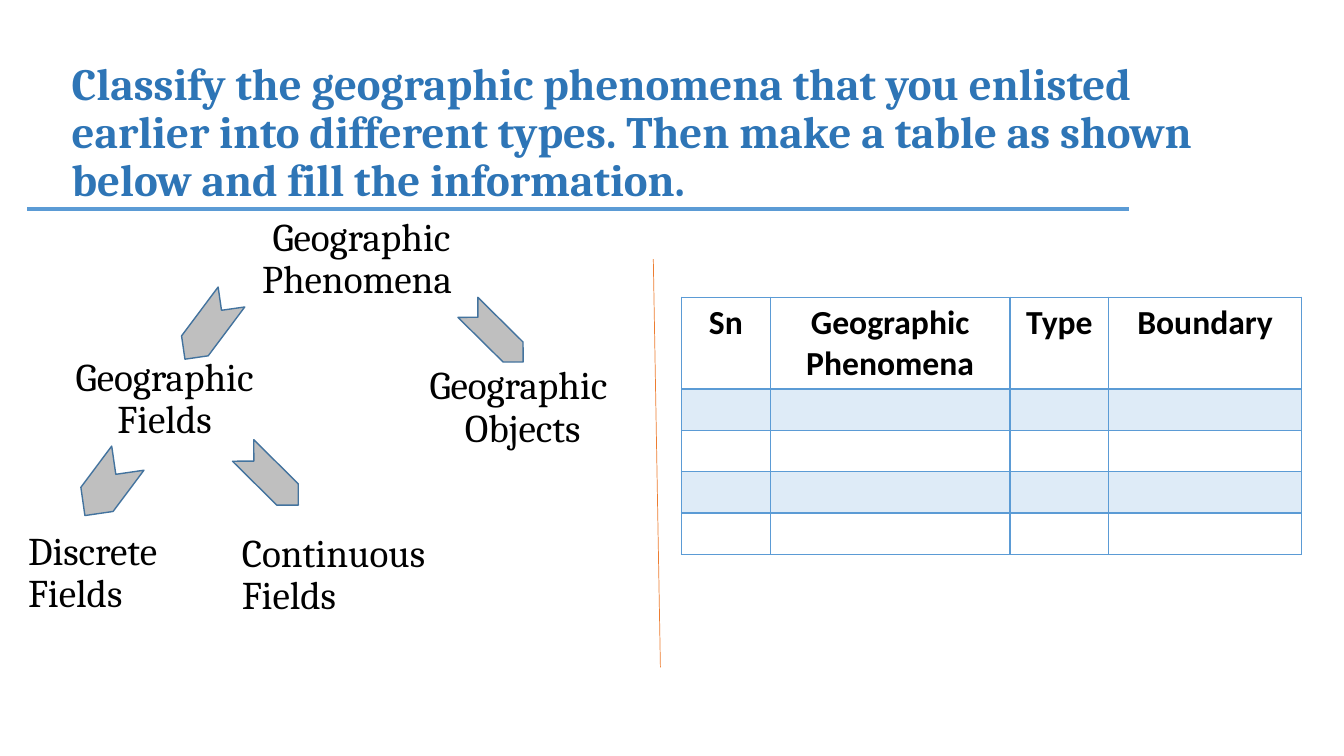
from lxml import etree
from pptx import Presentation
from pptx.dml.color import RGBColor
from pptx.enum.shapes import MSO_CONNECTOR, MSO_SHAPE
from pptx.enum.text import MSO_ANCHOR, MSO_AUTO_SIZE, PP_ALIGN
from pptx.oxml.ns import qn
from pptx.util import Inches, Pt

THEME = {
    "title": {"name": "Cambria", "size": Pt(32), "bold": True, "color": "2E75B6"},
    "tree": {"name": "Cambria", "size": Pt(28), "bold": False, "color": "000000"},
    "header": {"name": "Calibri", "size": Pt(24), "bold": True, "color": "000000"},
    "rule": "5B9BD5", "divider": "ED7D31", "border": "5B9BD5", "band": "DEEBF7",
    "arrow": "BFBFBF", "arrow edge": "43739E",
}

deck = Presentation()
deck.slide_width, deck.slide_height = Inches(13.33), Inches(7.5)
slide = deck.slides.add_slide(deck.slide_layouts[5])


def place(*shares):
    """Turn alternating x and y percentages of the slide into lengths."""
    sides = (deck.slide_width, deck.slide_height)
    return [int(sides[i % 2] * share / 100) for i, share in enumerate(shares)]


def write(frame, lines, style, align, spacing=0.9):
    for i, line in enumerate(lines):
        paragraph = frame.paragraphs[0] if i == 0 else frame.add_paragraph()
        paragraph.text = line
        paragraph.alignment, paragraph.line_spacing = align, spacing
        for key, value in THEME[style].items():
            if key == "color":
                paragraph.font.color.rgb = RGBColor.from_string(value)
            else:
                setattr(paragraph.font, key, value)


# Title
task = slide.shapes.title
task.left, task.top, task.width, task.height = place(4.58, 3.87, 88, 27.73)
task.text_frame.word_wrap = True
task.text_frame.auto_size = MSO_AUTO_SIZE.NONE
task.text_frame.vertical_anchor = MSO_ANCHOR.MIDDLE
write(task.text_frame,
      ["Classify the geographic phenomena that you enlisted earlier into different "
       "types. Then make a table as shown below and fill the information."],
      "title", PP_ALIGN.LEFT)

# Classification tree
tree = [
    (["Geographic Phenomena "], (14.25, 27.6, 25.28, 13.47), PP_ALIGN.CENTER),
    (["Geographic ", "Fields "], (2.78, 49.07, 19.58, 7.6), PP_ALIGN.CENTER),
    (["Geographic ", "Objects"], (30.98, 46, 15.83, 16), PP_ALIGN.CENTER),
    (["Discrete Fields"], (1.35, 71.73, 11.93, 8.27), PP_ALIGN.LEFT),
    (["Continuous Fields"], (17.25, 72, 16.65, 8.27), PP_ALIGN.LEFT),
]
for lines, shares, align in tree:
    node = slide.shapes.add_textbox(*place(*shares)).text_frame
    node.word_wrap = True
    node.vertical_anchor = MSO_ANCHOR.MIDDLE
    write(node, lines, "tree", align)

TO_LEFT, TO_RIGHT = 126.8, 44.7
branches = [
    ((33.98, 42.4, 5.78, 3.73), TO_RIGHT),
    ((12.6, 41.2, 5.78, 4.4), TO_LEFT),
    ((5.25, 61.73, 5.33, 5.33), TO_LEFT),
    ((17.25, 61.2, 5.78, 4), TO_RIGHT),
]
for shares, angle in branches:
    branch = slide.shapes.add_shape(MSO_SHAPE.CHEVRON, *place(*shares))
    branch.rotation = angle
    branch.shadow.inherit = False
    branch.fill.solid()
    branch.fill.fore_color.rgb = RGBColor.from_string(THEME["arrow"])
    branch.line.color.rgb = RGBColor.from_string(THEME["arrow edge"])
    branch.line.width = Pt(1)

# Title rule and divider between tree and table
for role, ends, weight in [("rule", (2.03, 27.6, 84.02, 27.6), 3),
                           ("divider", (48.61, 34.27, 49.14, 88.27), 0.5)]:
    line = slide.shapes.add_connector(MSO_CONNECTOR.STRAIGHT, *place(*ends))
    line.line.color.rgb = RGBColor.from_string(THEME[role])
    line.line.width = Pt(weight)
    etree.SubElement(line._element.spPr, qn("a:effectLst"))

# Table to fill in
headings = ["Sn", "Geographic Phenomena", "Type", "Boundary"]
column_shares = [6.6, 17.85, 7.35, 14.33]
row_shares = [12.13] + [5.47] * 4
table = slide.shapes.add_table(
    len(row_shares), len(headings),
    *place(50.71, 39.33, sum(column_shares), sum(row_shares))).table
table.first_row = table.horz_banding = False
for column, share in zip(table.columns, column_shares):
    column.width = place(share)[0]
for r, share in enumerate(row_shares):
    table.rows[r].height = place(0, share)[1]
    for c, heading in enumerate(headings):
        cell = table.cell(r, c)
        for side in "LRTB":
            under_header = (r, side) in [(0, "B"), (1, "T")]
            edge = etree.SubElement(cell._tc.get_or_add_tcPr(), qn(f"a:ln{side}"),
                                    w=str(Pt(2 if under_header else 1)))
            paint = etree.SubElement(edge, qn("a:solidFill"))
            etree.SubElement(paint, qn("a:srgbClr"), val=THEME["border"])
        if r % 2:
            cell.fill.solid()
            cell.fill.fore_color.rgb = RGBColor.from_string(THEME["band"])
        else:
            cell.fill.background()
        if r == 0:
            write(cell.text_frame, [heading], "header", PP_ALIGN.CENTER, 1.0)

deck.save("out.pptx")
